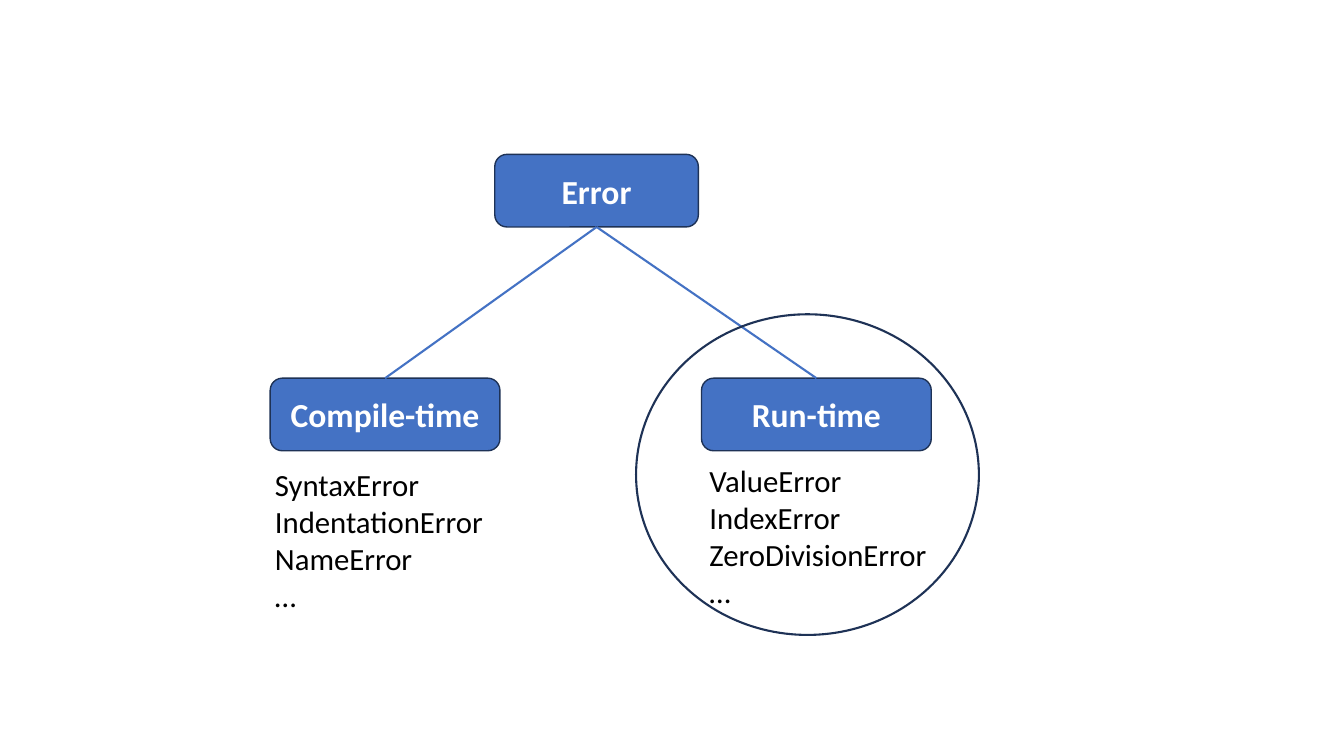
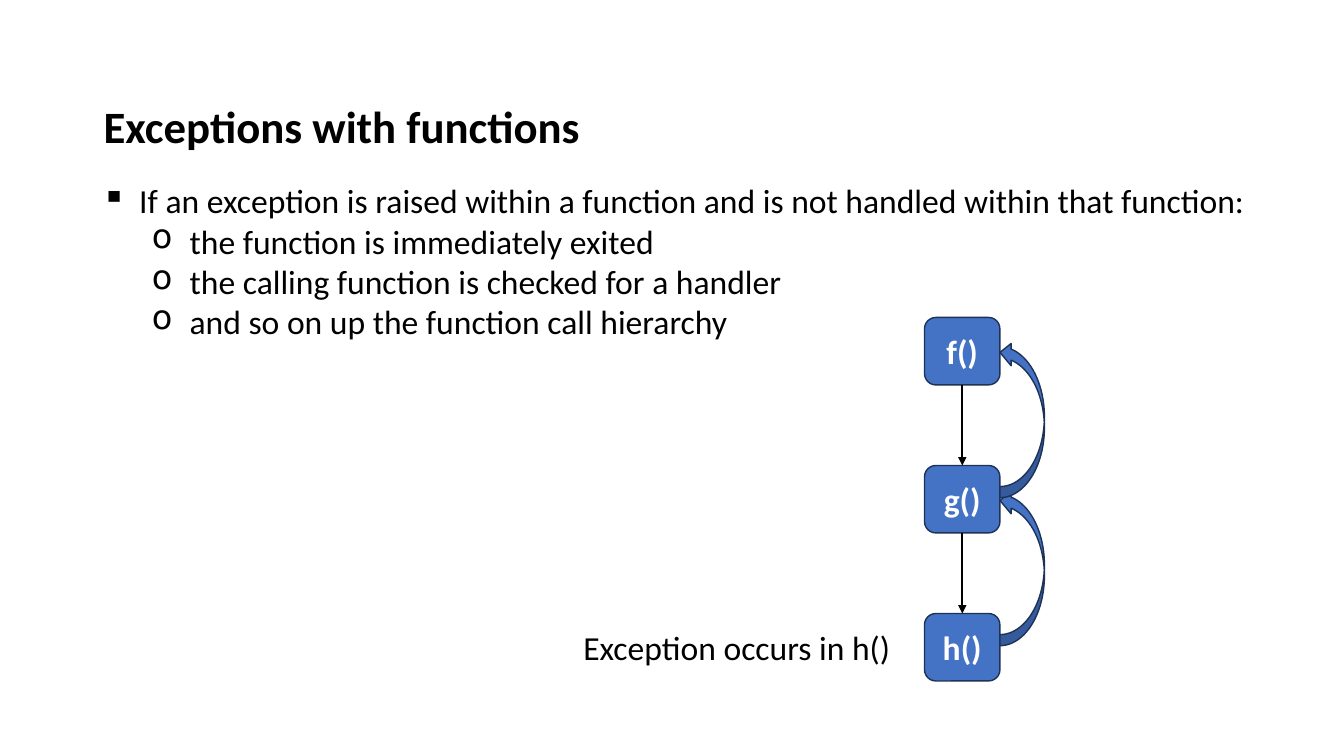
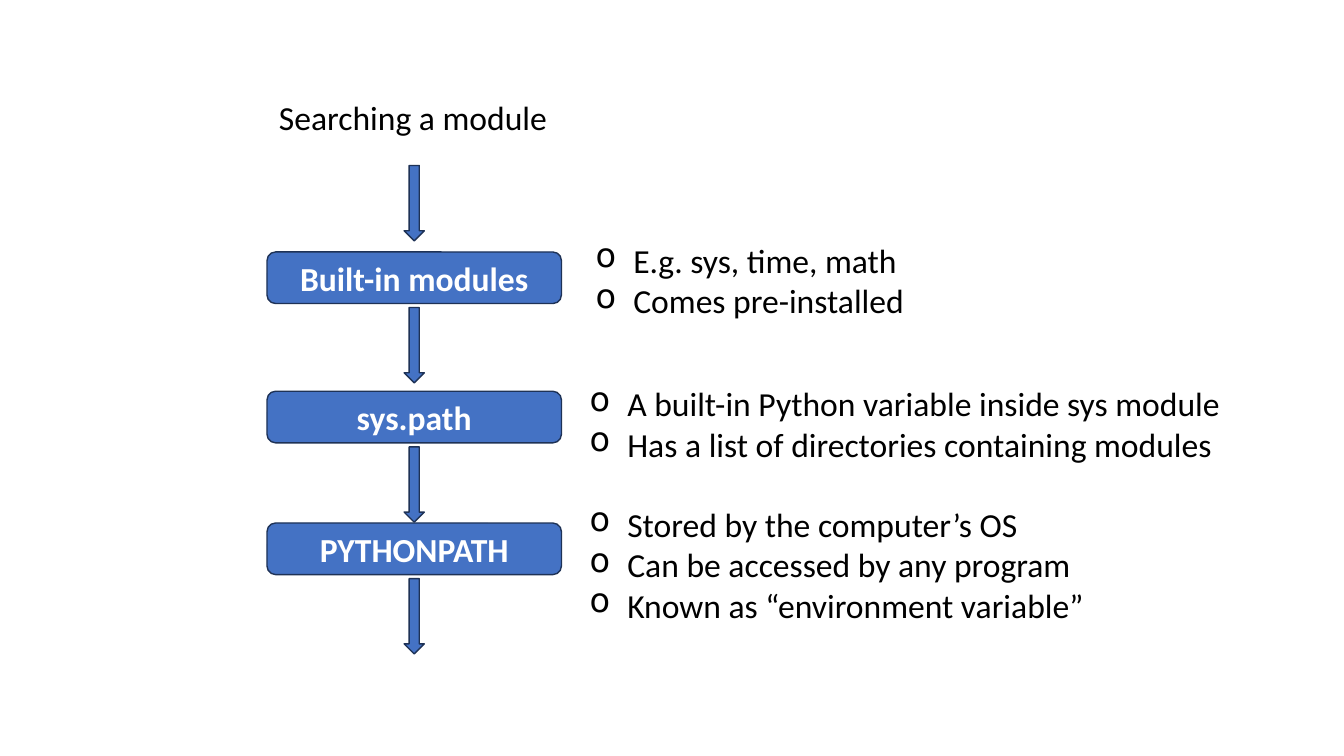
from dataclasses import dataclass

import pptx
import pptx.dml.color
import pptx.enum.shapes
import pptx.enum.text
import pptx.oxml.ns
import pptx.util
from lxml import etree

Cm = pptx.util.Cm
SHAPES = pptx.enum.shapes.MSO_SHAPE
ALIGN = pptx.enum.text.PP_ALIGN
TOP, BOTTOM = 0, 2


@dataclass(frozen=True)
class Theme:
    font: str = "Calibri"
    fill: str = "4472C4"
    outline: str = "1E3256"
    ink: str = "000000"
    paper: str = "FFFFFF"
    title: int = 32
    body: int = 24
    names: int = 22
    thin: float = 1
    thick: float = 1.5
    indent: float = 0.95
    level_step: float = 1.27


THEME = Theme()


@dataclass(frozen=True)
class Box:
    """A rectangle in centimetres."""
    left: float
    top: float
    width: float
    height: float

    def inner(self, dx, dy, width, height):
        """A box placed from this box's top left corner."""
        return Box(self.left + dx, self.top + dy, width, height)

    @property
    def bottom(self):
        return self.top + self.height

    def lengths(self):
        return [Cm(n) for n in (self.left, self.top, self.width, self.height)]


def rgb(value):
    return pptx.dml.color.RGBColor.from_string(value)


def add_span(para, text, color=THEME.ink, **changes):
    span = para.add_run()
    span.text = text
    form = {"name": THEME.font, "size": pptx.util.Pt(THEME.body), "bold": False} | changes
    for key, value in form.items():
        setattr(span.font, key, value)
    span.font.color.rgb = rgb(color)


def add_bullet(para, mark, level):
    para.level = level
    props = para._p.get_or_add_pPr()
    props.set("marL", str(Cm(THEME.indent + level * THEME.level_step)))
    props.set("indent", str(-Cm(THEME.indent)))
    bullet = etree.SubElement(props, pptx.oxml.ns.qn("a:buChar"))
    bullet.set("char", mark)


def add_text(page, box, lines, wrap=False, **form):
    """Each line is a text, or a (bullet, level, text) triple."""
    frame = page.shapes.add_textbox(*box.lengths()).text_frame
    frame.word_wrap = wrap
    frame.auto_size = pptx.enum.text.MSO_AUTO_SIZE.SHAPE_TO_FIT_TEXT
    for index, line in enumerate(lines):
        para = frame.add_paragraph() if index else frame.paragraphs[0]
        if isinstance(line, tuple):
            mark, level, line = line
            add_bullet(para, mark, level)
        add_span(para, line, **form)


def add_shape(page, kind, box, filled=True, width=THEME.thin):
    shape = page.shapes.add_shape(kind, *box.lengths())
    shape.shadow.inherit = False
    if filled:
        shape.fill.solid()
        shape.fill.fore_color.rgb = rgb(THEME.fill)
    else:
        shape.fill.background()
    shape.line.color.rgb = rgb(THEME.outline)
    shape.line.width = pptx.util.Pt(width)
    return shape


def add_node(page, box, label):
    node = add_shape(page, SHAPES.ROUNDED_RECTANGLE, box)
    node.text_frame.vertical_anchor = pptx.enum.text.MSO_ANCHOR.MIDDLE
    para = node.text_frame.paragraphs[0]
    para.alignment = ALIGN.CENTER
    add_span(para, label, THEME.paper, bold=True)
    return node


def join_down(page, upper, lower, color, arrow=False):
    """Line from the bottom of one node to the top of another."""
    line = page.shapes.add_connector(pptx.enum.shapes.MSO_CONNECTOR.STRAIGHT, 0, 0, 0, 0)
    line.begin_connect(upper, BOTTOM)
    line.end_connect(lower, TOP)
    line.line.color.rgb = rgb(color)
    line.line.width = pptx.util.Pt(THEME.thick)
    if arrow:
        head = etree.SubElement(line.line._get_or_add_ln(), pptx.oxml.ns.qn("a:tailEnd"))
        head.set("type", "triangle")
    etree.SubElement(line._element.spPr, pptx.oxml.ns.qn("a:effectLst"))


def error_tree(page, area):
    root = add_node(page, area.inner(5.66, 0, 5.13, 1.83), "Error")
    branches = [
        ("Compile-time", 0, (-0.13, 2.08, 5.74),
         ["SyntaxError", "IndentationError", "NameError", "…"]),
        ("Run-time", 10.87, (-0.05, 1.98, 5.97),
         ["ValueError", "IndexError", "ZeroDivisionError", "…"]),
    ]
    for label, dx, (list_dx, list_dy, list_width), names in branches:
        box = area.inner(dx, 5.64, 5.79, 1.83)
        join_down(page, root, add_node(page, box, label), THEME.fill)
        add_text(page, box.inner(list_dx, list_dy, list_width, 4.01), names,
                 size=pptx.util.Pt(THEME.names))
    add_shape(page, SHAPES.OVAL, area.inner(9.22, 4.03, 8.64, 8.08),
              filled=False, width=THEME.thick)


def exception_text(page, area):
    add_text(page, area.inner(0.05, 0, 23.8, 1.63), ["Exceptions with functions"],
             wrap=True, size=pptx.util.Pt(THEME.title), bold=True)
    steps = ["the function is immediately exited",
             "the calling function is checked for a handler",
             "and so on up the function call hierarchy"]
    intro = "If an exception is raised within a function and is not handled within that function:"
    add_text(page, area.inner(0, 2.06, area.width, 4.37),
             [("▪", 0, intro)] + [("o", 1, step) for step in steps], wrap=True)


def call_chain(page, area):
    """Calls run down the chain, and exceptions return up its right side."""
    pitch, size = 3.73, (1.9, 1.7)
    boxes = [area.inner(0, pitch * row, *size) for row in range(3)]
    nodes = [add_node(page, box, f"{name}()") for box, name in zip(boxes, "fgh")]
    for upper, lower in zip(nodes, nodes[1:]):
        join_down(page, upper, lower, THEME.ink, arrow=True)
    add_text(page, boxes[-1].inner(-8.85, 0.21, 8.33, 1.27), ["Exception occurs in h()"])
    for box in reversed(boxes[:-1]):
        back = add_shape(page, SHAPES.CURVED_RIGHT_ARROW,
                         box.inner(box.width, 0.6, 1.12, 3.94))
        back.rotation = 180


def module_search(page, area):
    add_text(page, area.inner(0.05, 0, 7.34, 1.27), ["Searching a module"])

    def down_arrow(dy):
        width = 0.51
        add_shape(page, SHAPES.DOWN_ARROW,
                  area.inner((area.width - width) / 2, dy, width, 1.9))

    down_arrow(1.86)
    places = [
        ("Built-in modules", 4.04, (8.03, -0.43, 8.36, 2.31),
         ["E.g. sys, time, math", "Comes pre-installed"]),
        ("sys.path", 7.55, (7.88, -0.33, 16.59, 2.31),
         ["A built-in Python variable inside sys module",
          "Has a list of directories containing modules"]),
        ("PYTHONPATH", 10.87, (7.88, -0.61, 13.08, 3.33),
         ["Stored by the computer’s OS", "Can be accessed by any program",
          "Known as “environment variable”"]),
    ]
    for label, dy, note, lines in places:
        box = area.inner(0, dy, area.width, 1.3)
        add_node(page, box, label)
        down_arrow(box.bottom - area.top + 0.1)
        add_text(page, box.inner(*note), [("o", 0, line) for line in lines])


def main():
    deck = pptx.Presentation()
    deck.slide_width, deck.slide_height = Cm(33.87), Cm(19.05)
    pages = [
        [(error_tree, Box(6.81, 3.89, 17.86, 12.11))],
        [(exception_text, Box(2.31, 2.36, 30.73, 6.43)),
         (call_chain, Box(23.3, 8, 3.02, 9.16))],
        [(module_search, Box(6.73, 2.31, 7.42, 14.2))],
    ]
    for regions in pages:
        page = deck.slides.add_slide(deck.slide_layouts[6])
        for draw, area in regions:
            draw(page, area)
    deck.save("out.pptx")


if __name__ == "__main__":
    main()
